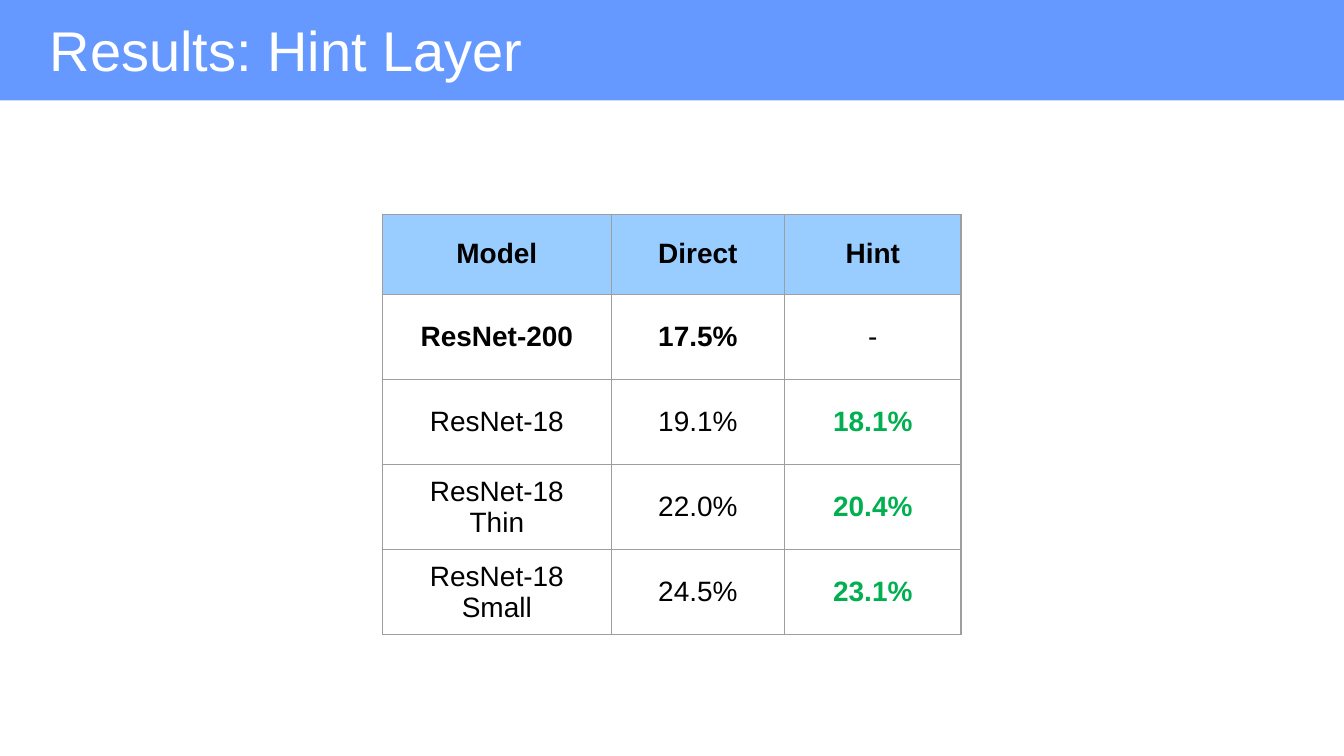
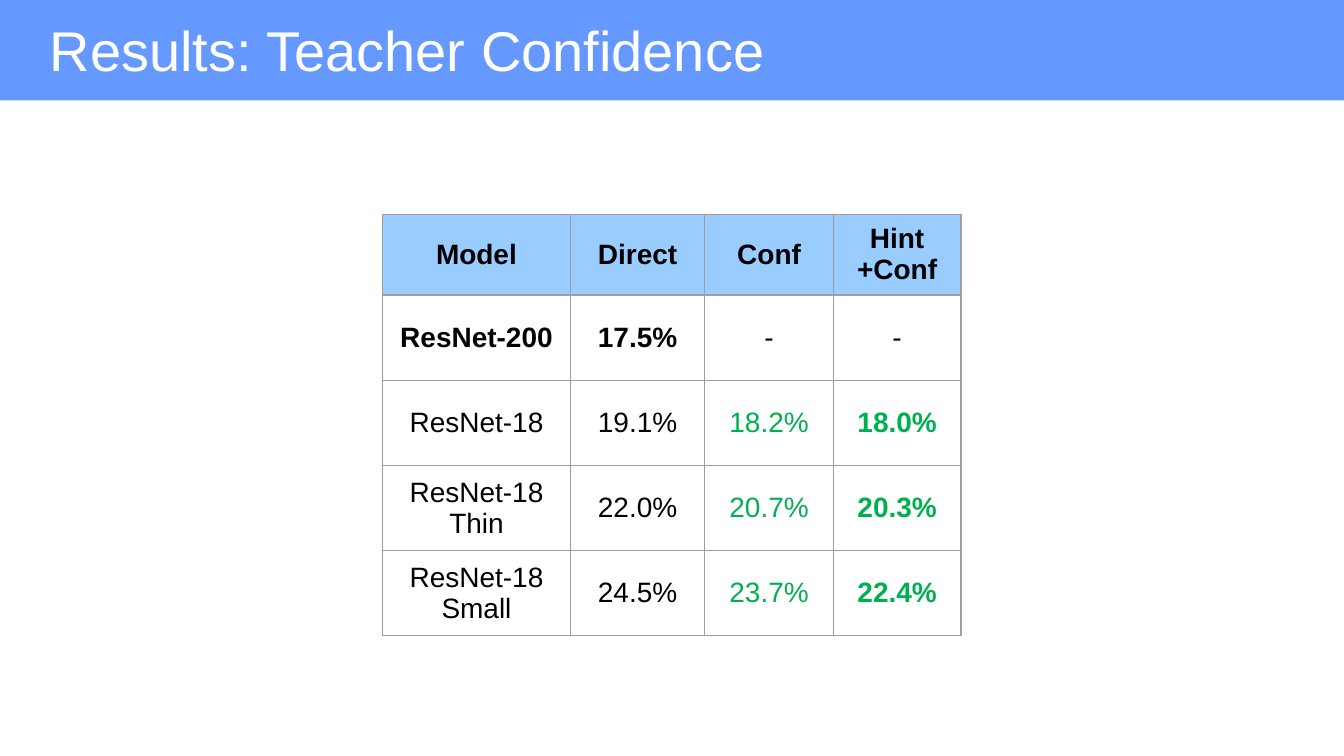
from lxml.etree import SubElement
from pptx import Presentation
from pptx.dml.color import RGBColor
from pptx.enum.shapes import MSO_SHAPE
from pptx.enum.text import MSO_ANCHOR, PP_ALIGN
from pptx.oxml.ns import qn
from pptx.util import Cm, Pt

BAND, HEADER, GAIN = "6699FF", "99CCFF", "00B050"
WHITE, BLACK, GRID = "FFFFFF", "000000", "9E9E9E"

# Error rates; \v breaks a line inside a paragraph
HINT_RESULTS = [
    ["Model", "Direct", "Hint"],
    ["ResNet-200", "17.5%", "-"],
    ["ResNet-18", "19.1%", "18.1%"],
    ["ResNet-18\nThin", "22.0%", "20.4%"],
    ["ResNet-18\vSmall", "24.5%", "23.1%"],
]
CONFIDENCE_RESULTS = [
    ["Model", "Direct", "Conf", "Hint\n+Conf"],
    ["ResNet-200", "17.5%", "-", "-"],
    ["ResNet-18", "19.1%", "18.2%", "18.0%"],
    ["ResNet-18\nThin", "22.0%", "20.7%", "20.3%"],
    ["ResNet-18\vSmall", "24.5%", "23.7%", "22.4%"],
]


def rgb(value):
    return RGBColor.from_string(value)


def apply(target, formats):
    for name, value in formats.items():
        setattr(target, name, value)


class Deck:
    font = "Arial"
    title_size = 30
    cell_size = 15

    def __init__(self):
        self.presentation = Presentation()
        apply(self.presentation, {"slide_width": Cm(25.4), "slide_height": Cm(14.29)})
        self.slide = None

    def new_slide(self, heading):
        self.slide = self.presentation.slides.add_slide(self.presentation.slide_layouts[6])
        self.band()
        self.title(heading)

    def band(self):
        band = self.slide.shapes.add_shape(
            MSO_SHAPE.RECTANGLE, Cm(0), Cm(-0.13), Cm(25.4), Cm(2.03))
        band.shadow.inherit = False
        band.fill.solid()
        band.fill.fore_color.rgb = rgb(BAND)
        band.line.fill.background()

    def title(self, heading):
        frame = self.slide.shapes.add_textbox(
            Cm(0.69), Cm(0.05), Cm(23.67), Cm(1.6)).text_frame
        apply(frame, {"word_wrap": True, "margin_top": Cm(0.25), "margin_bottom": Cm(0.25)})
        frame.text = heading
        self.style(frame, self.title_size, WHITE)

    def style(self, frame, size, color, **formats):
        for paragraph in frame.paragraphs:
            for run in paragraph.runs:
                apply(run.font, {"name": self.font, "size": Pt(size), **formats})
                run.font.color.rgb = rgb(color)
            # A line break carries its own text size
            for line_break in paragraph._p.findall(qn("a:br")):
                SubElement(line_break, qn("a:rPr"), sz=str(size * 100))

    def borders(self, cell):
        properties = cell._tc.get_or_add_tcPr()
        for side in ("lnL", "lnR", "lnT", "lnB"):
            edge = SubElement(properties, qn(f"a:{side}"), w=str(Pt(0.75)))
            fill = SubElement(edge, qn("a:solidFill"))
            SubElement(fill, qn("a:srgbClr"), val=GRID)

    def cell(self, cell, text, fill, color, bold):
        self.borders(cell)
        if fill:
            cell.fill.solid()
            cell.fill.fore_color.rgb = rgb(fill)
        else:
            cell.fill.background()
        cell.vertical_anchor = MSO_ANCHOR.MIDDLE
        cell.text_frame.text = text
        for paragraph in cell.text_frame.paragraphs:
            paragraph.alignment = PP_ALIGN.CENTER
        self.style(cell.text_frame, self.cell_size, color, bold=bold)

    def results(self, rows, widths):
        heights = [1.51] + [1.61] * (len(rows) - 1)
        table = self.slide.shapes.add_table(
            len(rows), len(widths), Cm(7.23), Cm(4.05),
            Cm(sum(widths)), Cm(sum(heights))).table
        apply(table, {"first_row": False, "horz_banding": False})
        for column, width in zip(table.columns, widths):
            column.width = Cm(width)
        for row, height in zip(table.rows, heights):
            row.height = Cm(height)

        # Header and teacher are bold; students' gains are green, the best one bold
        for r, row in enumerate(rows):
            for c, text in enumerate(row):
                gain = r > 1 and c > 1
                best = gain and c == len(row) - 1
                self.cell(table.cell(r, c), text,
                          fill=HEADER if r == 0 else None,
                          color=GAIN if gain else BLACK,
                          bold=best or (r < 2 and text != "-"))


def main():
    deck = Deck()

    # Hint layer
    deck.new_slide("Results: Hint Layer")
    deck.results(HINT_RESULTS, [4.32, 3.28, 3.33])

    # Teacher confidence
    deck.new_slide("Results: Teacher Confidence")
    deck.results(CONFIDENCE_RESULTS, [3.55, 2.54, 2.43, 2.41])

    deck.presentation.save("out.pptx")


if __name__ == "__main__":
    main()
